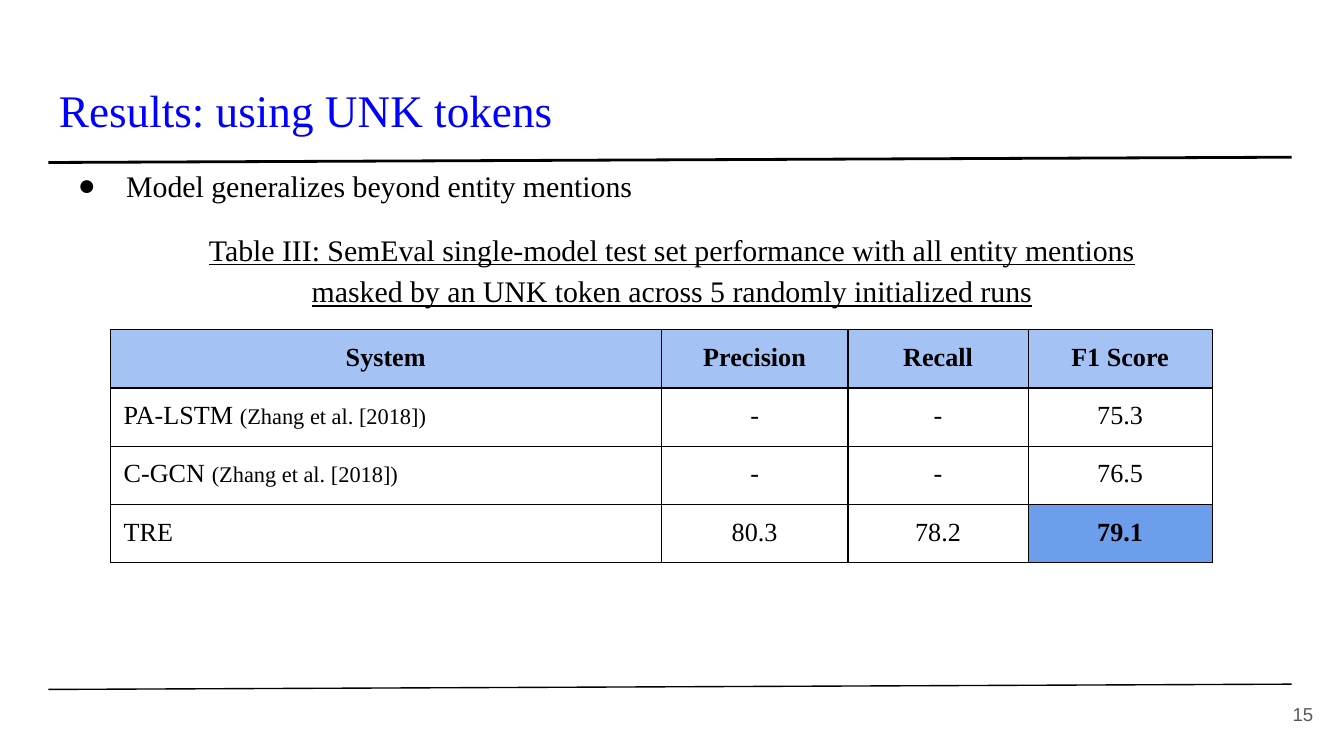
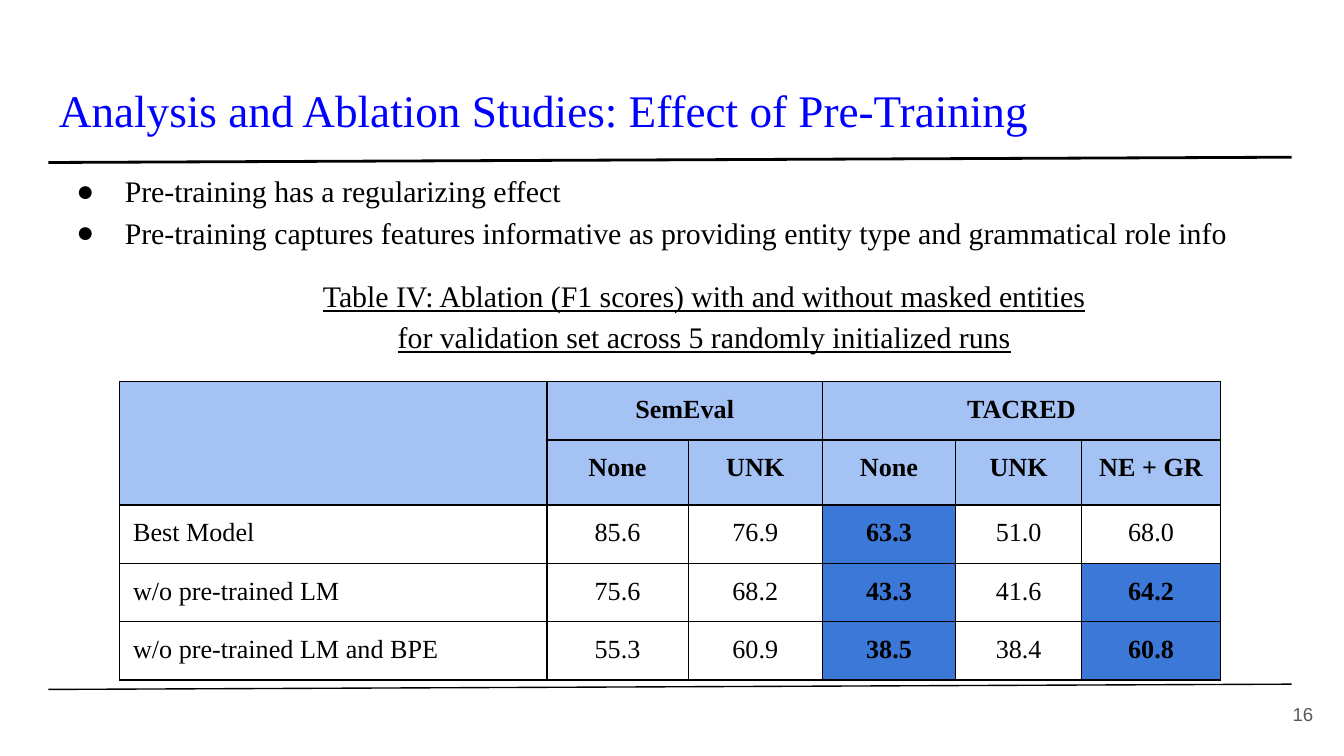
from lxml import etree
from pptx import Presentation
from pptx.dml.color import RGBColor
from pptx.enum.shapes import MSO_CONNECTOR
from pptx.enum.text import MSO_ANCHOR, PP_ALIGN
from pptx.oxml.ns import qn
from pptx.util import Inches, Pt

STRAIGHT = MSO_CONNECTOR.STRAIGHT
TOP, MIDDLE, BOTTOM = MSO_ANCHOR.TOP, MSO_ANCHOR.MIDDLE, MSO_ANCHOR.BOTTOM
LEFT, CENTER, RIGHT = PP_ALIGN.LEFT, PP_ALIGN.CENTER, PP_ALIGN.RIGHT

BLACK = RGBColor(0x00, 0x00, 0x00)
TITLE_BLUE = RGBColor(0x00, 0x00, 0xFF)
PAGE_GRAY = RGBColor(0x59, 0x59, 0x59)
HEADER_BLUE = RGBColor(0xA4, 0xC2, 0xF4)
BEST_BLUE = RGBColor(0x6D, 0x9E, 0xEB)
ABLATION_BLUE = RGBColor(0x3C, 0x78, 0xD8)

SERIF, SANS = "Times New Roman", "Arial"
PADDING = Inches(0.1)
BODY_INDENT, BULLET_HANG = Inches(0.5), Inches(0.36)
ROW_HEIGHT = 7.3


class Deck:
    """Holds the style and the current slide; lengths are percent of the slide's size."""

    def __init__(self):
        self.prs = Presentation()
        self.prs.slide_width, self.prs.slide_height = Inches(10), Inches(5.625)
        self.slide = None

    def x(self, percent):
        return round(self.prs.slide_width * percent / 100)

    def y(self, percent):
        return round(self.prs.slide_height * percent / 100)

    def start(self, title, page):
        """Begin a slide with its title, both rules and the page number."""
        self.slide = self.prs.slides.add_slide(self.prs.slide_layouts[6])
        heading = self.frame(3.4, 8.7, 93.2, 11.2, BOTTOM)
        self.run(heading.paragraphs[0], title, 24.2, TITLE_BLUE)
        self.rule(21.5, 20.8, 1.5)
        self.rule(91.2, 90.5, 0.75)
        number = self.frame(92.7, 90.7, 6, 7.6, MIDDLE).paragraphs[0]
        number.alignment = RIGHT
        self.run(number, str(page), 10, PAGE_GRAY, font=SANS)

    def frame(self, left, top, width, height, anchor=TOP):
        frame = self.slide.shapes.add_textbox(
            self.x(left), self.y(top), self.x(width), self.y(height)).text_frame
        frame.word_wrap = True
        frame.vertical_anchor = anchor
        frame.margin_left = frame.margin_right = PADDING
        frame.margin_top = frame.margin_bottom = PADDING
        return frame

    def run(self, paragraph, text, size, color=BLACK, bold=False, underline=None, font=SERIF):
        run = paragraph.add_run()
        run.text = text
        run.font.name, run.font.size = font, Pt(size)
        run.font.bold, run.font.underline = bold, underline
        run.font.color.rgb = color

    def rule(self, left_end, right_end, weight):
        line = self.slide.shapes.add_connector(
            STRAIGHT, self.x(3.6), self.y(left_end), self.x(96.1), self.y(right_end))
        line.line.color.rgb, line.line.width = BLACK, Pt(weight)
        etree.SubElement(line._element.spPr, qn("a:effectLst"))

    def body(self, left, top, points, caption, caption_indent=0):
        """Bulleted points followed by a centred, underlined table caption."""
        frame = self.frame(left, top, 93.2, 66.5)
        for index, point in enumerate(points):
            paragraph = frame.add_paragraph() if index else frame.paragraphs[0]
            paragraph.line_spacing = 1.15
            self.bullet(paragraph)
            self.run(paragraph, point, 16)
        paragraph = frame.add_paragraph()
        paragraph.alignment, paragraph.line_spacing = CENTER, 1.15
        paragraph.space_before = paragraph.space_after = Pt(12)
        paragraph._p.get_or_add_pPr().set("marL", str(caption_indent))
        for index, line in enumerate(caption):
            if index:
                paragraph.add_line_break()
            self.run(paragraph, line, 16, underline=True)

    def bullet(self, paragraph):
        props = paragraph._p.get_or_add_pPr()
        props.set("marL", str(BODY_INDENT))
        props.set("indent", str(-BULLET_HANG))
        color = etree.SubElement(props, qn("a:buClr"))
        etree.SubElement(color, qn("a:srgbClr"), val=str(BLACK))
        etree.SubElement(props, qn("a:buSzPts"), val="1600")
        etree.SubElement(props, qn("a:buFont"), typeface=SERIF)
        etree.SubElement(props, qn("a:buChar"), char="●")

    def table(self, left, top, widths, heights, rows, header_rows, best, best_fill, merges=()):
        """Draw rows of text; best holds the (row, column) of each highlighted cell."""
        table = self.slide.shapes.add_table(
            len(rows), len(widths), self.x(left), self.y(top),
            self.x(sum(widths)), self.y(sum(heights))).table
        table.first_row = table.horz_banding = False
        for column, width in zip(table.columns, widths):
            column.width = self.x(width)
        for row, height in zip(table.rows, heights):
            row.height = self.y(height)
        for r, texts in enumerate(rows):
            for c, text in enumerate(texts):
                header, winner = r < header_rows, (r, c) in best
                fill = HEADER_BLUE if header else best_fill if winner else None
                align = CENTER if header or c else LEFT
                self.cell(table.cell(r, c), text, fill, align, header or winner)
        for first, last in merges:
            table.cell(*first).merge(table.cell(*last))

    def cell(self, cell, text, fill, align, bold):
        props = cell._tc.get_or_add_tcPr()
        for side in ("lnL", "lnR", "lnT", "lnB"):
            border = etree.SubElement(props, qn("a:" + side), w=str(Pt(0.75)))
            solid = etree.SubElement(border, qn("a:solidFill"))
            etree.SubElement(solid, qn("a:srgbClr"), val=str(BLACK))
        if fill is None:
            cell.fill.background()
        else:
            cell.fill.solid()
            cell.fill.fore_color.rgb = fill
        if not text:
            return
        cell.margin_left = cell.margin_right = PADDING
        cell.margin_top = cell.margin_bottom = PADDING
        paragraph = cell.text_frame.paragraphs[0]
        paragraph.alignment = align
        name, bracket, citation = text.partition("(")
        self.run(paragraph, name, 14, bold=bold)
        if bracket:
            self.run(paragraph, bracket + citation, 12, bold=bold)


def unk_results(deck):
    deck.start("Results: using UNK tokens", 15)
    deck.body(3.4, 19.7, ["Model generalizes beyond entity mentions"],
              ["Table III: SemEval single-model test set performance with all entity mentions",
               "masked by an UNK token across 5 randomly initialized runs"])
    systems = [
        ["System", "Precision", "Recall", "F1 Score"],
        ["PA-LSTM (Zhang et al. [2018])", "-", "-", "75.3"],
        ["C-GCN (Zhang et al. [2018])", "-", "-", "76.5"],
        ["TRE", "80.3", "78.2", "79.1"],
    ]
    deck.table(8.2, 43.6, [41, 13.9, 13.4, 13.7], [ROW_HEIGHT] * 4, systems,
               header_rows=1, best={(3, 3)}, best_fill=BEST_BLUE)


def pretraining_ablation(deck):
    deck.start("Analysis and Ablation Studies: Effect of Pre-Training", 16)
    deck.body(3.3, 20.4,
              ["Pre-training has a regularizing effect",
               "Pre-training captures features informative as providing entity type "
               "and grammatical role info"],
              ["Table IV: Ablation (F1 scores) with and without masked entities",
               "for validation set across 5 randomly initialized runs"], BODY_INDENT)
    ablations = [
        ["", "SemEval", "", "TACRED", "", ""],
        ["", "None", "UNK", "None", "UNK", "NE + GR"],
        ["Best Model", "85.6", "76.9", "63.3", "51.0", "68.0"],
        ["w/o pre-trained LM", "75.6", "68.2", "43.3", "41.6", "64.2"],
        ["w/o pre-trained LM and BPE", "55.3", "60.9", "38.5", "38.4", "60.8"],
    ]
    deck.table(8.9, 50.5, [31.8, 10.5, 10, 9.9, 9.4, 10.3],
               [ROW_HEIGHT, 8.6] + [ROW_HEIGHT] * 3, ablations, header_rows=2,
               best={(2, 3), (3, 3), (4, 3), (3, 5), (4, 5)}, best_fill=ABLATION_BLUE,
               merges=[((0, 0), (1, 0)), ((0, 1), (0, 2)), ((0, 3), (0, 5))])


def main():
    deck = Deck()
    unk_results(deck)
    pretraining_ablation(deck)
    deck.prs.save("out.pptx")


if __name__ == "__main__":
    main()
